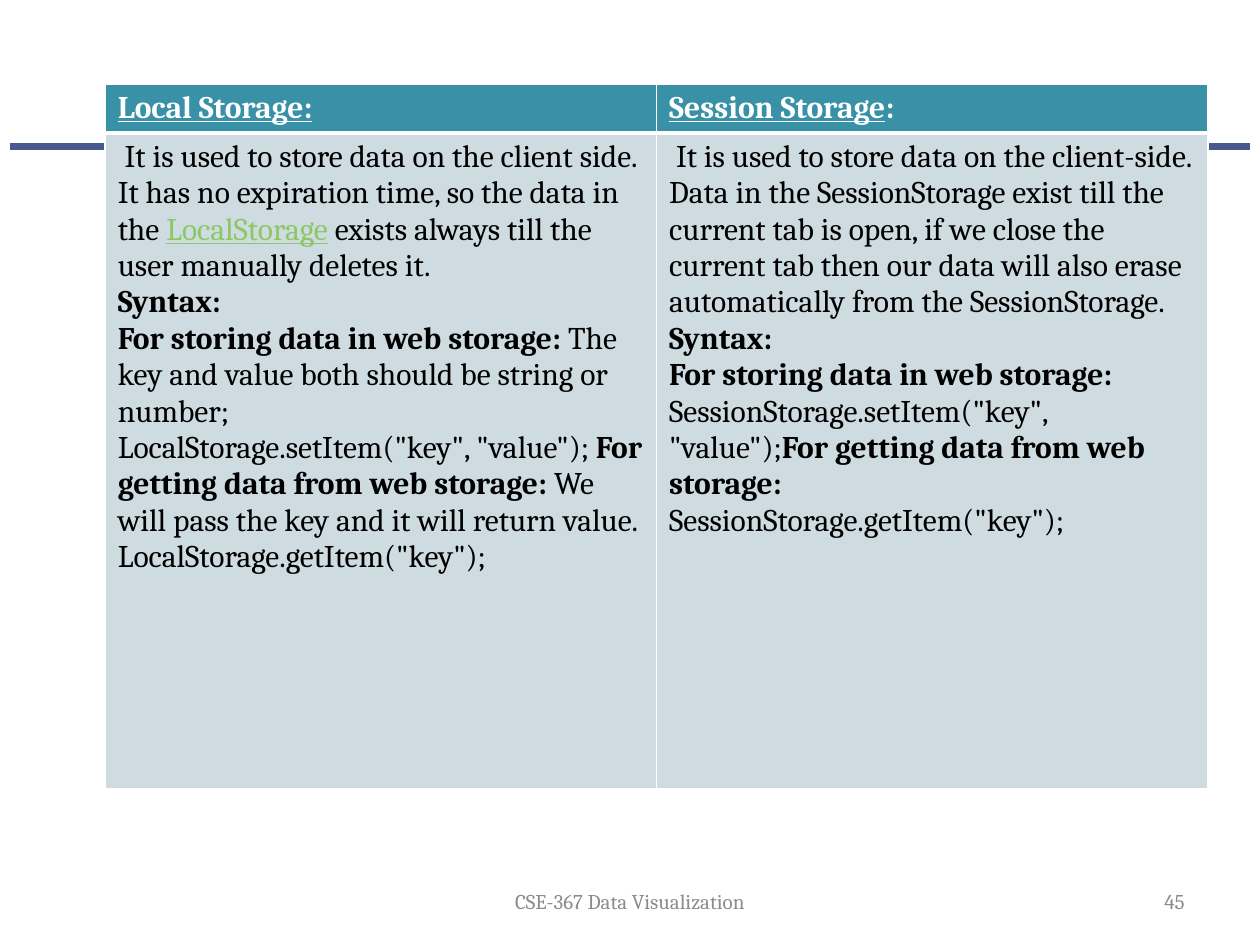
from lxml import etree
from pptx import Presentation
from pptx.dml.color import RGBColor
from pptx.enum.shapes import MSO_CONNECTOR
from pptx.enum.text import MSO_ANCHOR, PP_ALIGN
from pptx.oxml.ns import qn
from pptx.util import Cm, Pt

STRAIGHT = MSO_CONNECTOR.STRAIGHT
MIDDLE = MSO_ANCHOR.MIDDLE
LEFT, CENTER, RIGHT = PP_ALIGN.LEFT, PP_ALIGN.CENTER, PP_ALIGN.RIGHT

FONT = "Cambria"
WHITE, BLACK, TEAL, PALE = "FFFFFF", "000000", "3891A7", "CEDCE1"
LINK, RULE = "8DC765", "475A8D"
HEADER_EDGES = {"lnL": 1, "lnR": 1, "lnT": 1, "lnB": 3}
BODY_EDGES = {"lnL": 1, "lnR": 1, "lnT": 3, "lnB": 1}
BOLD = {"bold": True}
UNDERLINED = {"bold": True, "underline": True}

HEADERS = [
    [[("Local Storage:", UNDERLINED)]],
    [[("Session Storage", UNDERLINED), (":", BOLD)]],
]
BODIES = [
    [
        [(" It is used to store data on the client side. It has no expiration "
          "time, so the data in the ", {}),
         ("LocalStorage", {"color": LINK, "underline": True}),
         (" exists always till the user manually deletes it.", {})],
        [("Syntax:", BOLD)],
        [("For storing data in web storage: ", BOLD),
         ("The key and value both should be string or number;", {})],
        [('LocalStorage.setItem("key", "value"); ', {}),
         ("For getting data from web storage: ", BOLD),
         ("We will pass the key and it will return value.", {})],
        [('LocalStorage.getItem("key");', {})],
    ],
    [
        [(" It is used to store data on the client-side. Data in the "
          "SessionStorage exist till the current tab is open, if we close the "
          "current tab then our data will also erase automatically from the "
          "SessionStorage.", {})],
        [("Syntax:", BOLD)],
        [("For storing data in web storage:", BOLD)],
        [('SessionStorage.setItem("key", "value");', {}),
         ("For getting data from web storage:", BOLD)],
        [('SessionStorage.getItem("key");', {})],
    ],
]


def rgb(value):
    """Turn a hex string into a colour."""
    return RGBColor.from_string(value)


def add_run(p, text, size, color, bold=False, underline=False):
    """Add one styled run to a paragraph."""
    r = p.add_run()
    r.text = text
    r.font.name = FONT
    r.font.size = Pt(size)
    r.font.bold = bold
    r.font.underline = underline
    r.font.color.rgb = rgb(color)


def set_borders(cell, edges):
    """Draw white borders of the given point widths."""
    tcPr = cell._tc.get_or_add_tcPr()
    for tag, width in edges.items():
        ln = etree.SubElement(tcPr, qn("a:" + tag), w=str(Pt(width)))
        fill = etree.SubElement(ln, qn("a:solidFill"))
        etree.SubElement(fill, qn("a:srgbClr"), val=WHITE)


def fill_cell(cell, paragraphs, color, fill, edges):
    """Write the paragraphs of a cell and style it."""
    set_borders(cell, edges)
    cell.fill.solid()
    cell.fill.fore_color.rgb = rgb(fill)
    tf = cell.text_frame
    for i, runs in enumerate(paragraphs):
        p = tf.add_paragraph() if i else tf.paragraphs[0]
        p.alignment = LEFT
        for text, style in runs:
            add_run(p, text, 18, **{"color": color, **style})


def add_rule(s, x, y, w):
    """Draw the horizontal rule behind the table."""
    line = s.shapes.add_connector(STRAIGHT, x, y, x + w, y)
    line.line.color.rgb = rgb(RULE)
    line.line.width = Pt(4)
    etree.SubElement(line._element.spPr, qn("a:effectLst"))


def add_comparison(s, x, y, w, h):
    """Place the two-column storage comparison."""
    table = s.shapes.add_table(2, 2, x, y, w, h).table
    table.first_row = False
    table.horz_banding = False
    header_h = Cm(0.96)
    table.rows[0].height = header_h
    table.rows[1].height = h - header_h
    for col, (header, body) in enumerate(zip(HEADERS, BODIES)):
        fill_cell(table.cell(0, col), header, WHITE, TEAL, HEADER_EDGES)
        fill_cell(table.cell(1, col), body, BLACK, PALE, BODY_EDGES)


def add_footer_text(s, x, y, w, h, text, color, align):
    """Place one footer text."""
    tf = s.shapes.add_textbox(x, y, w, h).text_frame
    tf.word_wrap = True
    tf.vertical_anchor = MIDDLE
    p = tf.paragraphs[0]
    p.alignment = align
    add_run(p, text, 12, color)


def add_footer(s, x, y, w, h):
    """Place the course name and the page number."""
    add_footer_text(s, x, y, Cm(8.04), h, "CSE-367 Data Visualization", "8C8C8C", CENTER)
    number_w = Cm(5.93)
    add_footer_text(s, x + w - number_w, y, number_w, h, "45", "898989", RIGHT)


def main():
    """Build and save the slide."""
    prs = Presentation()
    prs.slide_width, prs.slide_height = Cm(25.4), Cm(19.05)
    s = prs.slides.add_slide(prs.slide_layouts[6])
    add_rule(s, Cm(0.2), Cm(2.96), Cm(25))
    add_comparison(s, Cm(2.12), Cm(1.69), Cm(22.23), Cm(14.18))
    add_footer(s, Cm(8.68), Cm(17.65), Cm(15.45), Cm(1.02))
    prs.save("out.pptx")


if __name__ == "__main__":
    main()
